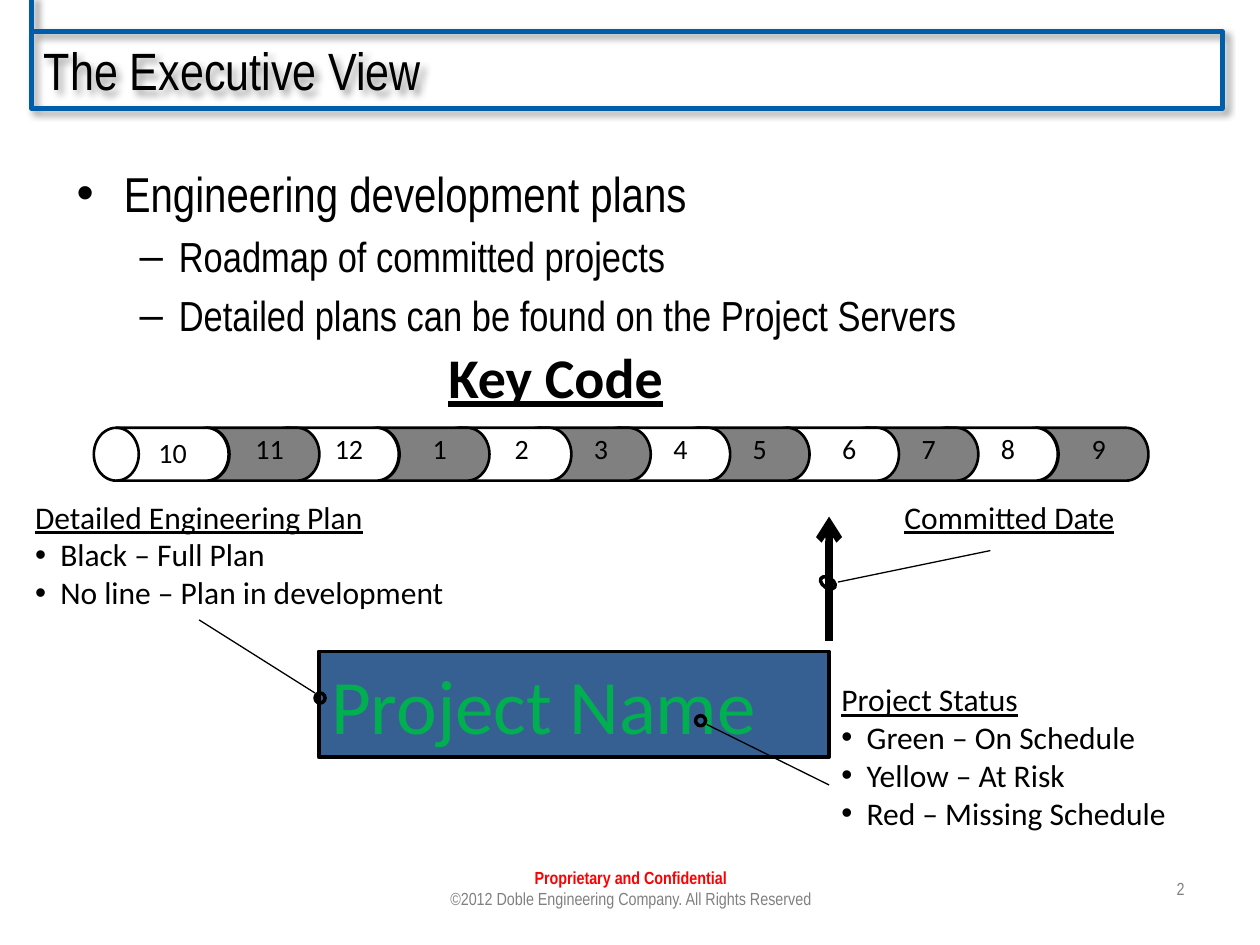
from itertools import accumulate

from lxml import etree
from pptx import Presentation
from pptx.dml.color import RGBColor
from pptx.enum.shapes import MSO_CONNECTOR, MSO_SHAPE
from pptx.enum.text import MSO_ANCHOR, PP_ALIGN
from pptx.oxml.ns import qn
from pptx.util import Inches, Pt

LEFT, CENTER, RIGHT = PP_ALIGN.LEFT, PP_ALIGN.CENTER, PP_ALIGN.RIGHT
TOP, MIDDLE = MSO_ANCHOR.TOP, MSO_ANCHOR.MIDDLE
RECTANGLE, ELLIPSE = MSO_SHAPE.RECTANGLE, MSO_SHAPE.OVAL
DISK = MSO_SHAPE.FLOWCHART_MAGNETIC_DISK
STRAIGHT = MSO_CONNECTOR.STRAIGHT

# The slide is a grid of 100 columns by 75 rows of square cells
COLUMNS, ROWS = 100, 75
CELL = Inches(0.1)
HEADING_FONT, DIAGRAM_FONT = "Arial Narrow", "Calibri"
COLORS = {
    "frame": "005DAA", "black": "000000", "white": "FFFFFF", "gray": "808080",
    "red": "FF0000", "project": "376092", "on_schedule": "00B050",
}


def cells(*values):
    return [round(value * CELL) for value in values]


def color(name):
    return RGBColor.from_string(COLORS[name])


def within(box, left, top, width=0, height=0):
    return box[0] + left, box[1] + top, width, height


def add_shadow(shape, direction):
    effects = shape._element.spPr.find(qn("a:effectLst"))
    if effects is None:
        effects = etree.SubElement(shape._element.spPr, qn("a:effectLst"))
    shadow = etree.SubElement(effects, qn("a:outerShdw"), blurRad=str(Pt(4)),
                              dist=str(Pt(3)), dir=str(direction * 60000),
                              algn="tl", rotWithShape="0")
    black = etree.SubElement(shadow, qn("a:srgbClr"), val=COLORS["black"])
    etree.SubElement(black, qn("a:alpha"), val="40000")


def add_line(slide, start, end, width, line="black", arrow=False):
    connector = slide.shapes.add_connector(STRAIGHT, *cells(*start, *end))
    connector.line.color.rgb = color(line)
    connector.line.width = Pt(width)
    if arrow:
        etree.SubElement(connector.line._get_or_add_ln(), qn("a:tailEnd"), type="arrow")
    etree.SubElement(connector._element.spPr, qn("a:effectLst"))
    return connector


def add_shape(slide, kind, box, width, fill=None, line="black", rotation=0):
    shape = slide.shapes.add_shape(kind, *cells(*box))
    shape.shadow.inherit = False
    shape.rotation = rotation
    if fill:
        shape.fill.solid()
        shape.fill.fore_color.rgb = color(fill)
    else:
        shape.fill.background()
    shape.line.color.rgb = color(line)
    shape.line.width = Pt(width)
    return shape


def add_textbox(slide, box, wrap=True, anchor=TOP):
    frame = slide.shapes.add_textbox(*cells(*box)).text_frame
    frame.word_wrap = wrap
    frame.vertical_anchor = anchor
    return frame


def add_text(frame, text, size, font=DIAGRAM_FONT, fill="black", align=LEFT,
             bold=False, underline=False, bullet=None, indent=(0, 0), before=0):
    """Write one paragraph; indent is (text start, hanging part) in cells."""
    first = frame.paragraphs[0]
    paragraph = first if not first.runs else frame.add_paragraph()
    paragraph.alignment = align
    if before:
        paragraph.space_before = Pt(before)
    if bullet:
        properties = paragraph._p.get_or_add_pPr()
        margin, hanging = cells(*indent)
        properties.set("marL", str(margin))
        properties.set("indent", str(-hanging))
        etree.SubElement(properties, qn("a:buFont"), typeface="Arial")
        etree.SubElement(properties, qn("a:buChar"), char=bullet)
    run = paragraph.add_run()
    run.text = text
    run.font.name = font
    run.font.size = Pt(size)
    run.font.bold = bold
    run.font.underline = underline
    run.font.color.rgb = color(fill)


def title_bar(slide, box):
    left, top = box[:2]
    hanger = add_line(slide, (left, 0), (left, top), 3, "frame")
    add_shadow(hanger, 0)
    bar = add_shape(slide, RECTANGLE, box, 3, line="frame")
    add_shadow(bar, 45)
    bar.text_frame.vertical_anchor = MIDDLE
    add_text(bar.text_frame, "The Executive View", 30, HEADING_FONT)


def body(slide, box):
    frame = add_textbox(slide, box)
    add_text(frame, "Engineering development plans", 28, HEADING_FONT,
             bullet="•", indent=(3.75, 3.75))
    for text in ("Roadmap of committed projects",
                 "Detailed plans can be found on the Project Servers"):
        add_text(frame, text, 24, HEADING_FONT, bullet="–",
                 indent=(8.12, 3.12), before=4.8)


def month_band(slide, box):
    """Overlapping cylinders, drawn from the last month back to the first."""
    height = box[3]
    length = 10.7
    steps = (7.2, 6.3, 7.2, 6.5, 6.3, 6.3, 6.3, 7.1, 6.3, 6.3, 7.2)
    offsets = list(accumulate(steps, initial=0))
    for index, offset in reversed(list(enumerate(offsets))):
        # The disk stands upright about the middle of its slot, then is turned
        upright = within(box, offset + (length - height) / 2,
                         (height - length) / 2, height, length)
        add_shape(slide, DISK, upright, 1.5, ("white", "gray")[index % 2], rotation=270)
        shift, drop = (2.9, -0.15) if index else (2.4, 0.15)
        label = add_textbox(slide, within(box, offset + shift, drop, 7.7, 3.7))
        add_text(label, str((index + 9) % 12 + 1), 16, align=CENTER)


def key_heading(slide, box):
    add_text(add_textbox(slide, box), "Key Code", 32, bold=True, underline=True)


def project_box(slide, box):
    project = add_shape(slide, RECTANGLE, box, 2, "project")
    project.text_frame.vertical_anchor = TOP
    add_text(project.text_frame, "Project Name", 44, fill="on_schedule")
    right = box[0] + box[2]
    add_line(slide, (right, box[1] - 0.8), (right, box[1] - 10.7), 4.25, arrow=True)


def callout(slide, box, heading, items, ring, start, end, rotation=0):
    """A legend whose leader runs from start to a ring; all relative to box."""
    add_shape(slide, ELLIPSE, within(box, *ring), 2, rotation=rotation)
    add_line(slide, within(box, *start)[:2], within(box, *end)[:2], 0.75)
    frame = add_textbox(slide, box, wrap=False)
    add_text(frame, heading, 18, underline=True)
    for item in items:
        add_text(frame, item, 18, bullet="•", indent=(2, 2))


def footer(slide, box):
    frame = add_textbox(slide, within(box, 0, 0, 31.7, 4.4), anchor=MIDDLE)
    add_text(frame, "Proprietary and Confidential", 10, HEADING_FONT, "red", CENTER, bold=True)
    add_text(frame, "©2012 Doble Engineering Company. All Rights Reserved", 10,
             HEADING_FONT, "gray", CENTER)
    number = add_textbox(slide, within(box, 30, 0.9, box[2] - 30, 2.7))
    add_text(number, "2", 10, HEADING_FONT, "gray", RIGHT)


def main():
    presentation = Presentation()
    presentation.slide_width, presentation.slide_height = cells(COLUMNS, ROWS)
    slide = presentation.slides.add_slide(presentation.slide_layouts[6])

    footer(slide, (34.2, 68.3, 60.8, 4.4))
    title_bar(slide, (2.5, 2.5, 94.5, 6.1))
    body(slide, (5.1, 12.5, 90.7, 53.3))
    month_band(slide, (7.45, 33.95, 83.7, 4.2))
    key_heading(slide, (34.6, 26.7, 22.9, 6.4))
    project_box(slide, (25.3, 51.7, 40.5, 8.4))

    # Legends pointing at the project box and its arrow
    callout(slide, (1.8, 39, 34.9, 10.1), "Detailed Engineering Plan",
            ("Black – Full Plan", "No line – Plan in development"),
            ring=(23.2, 16, 0.8, 0.8), start=(14, 10.2), end=(23.2, 16))
    callout(slide, (70.8, 39, 18.9, 4), "Committed Date", (),
            ring=(-5.5, 6.6, 0.8, 1.3), start=(7.8, 4.7), end=(-4.3, 7.2), rotation=123)
    callout(slide, (65.8, 53.5, 28.1, 13.1), "Project Status",
            ("Green – On Schedule", "Yellow – At Risk", "Red – Missing Schedule"),
            ring=(-10.6, 3.3, 0.8, 0.8), start=(0, 8.8), end=(-9.7, 4))

    presentation.save("out.pptx")


if __name__ == "__main__":
    main()
